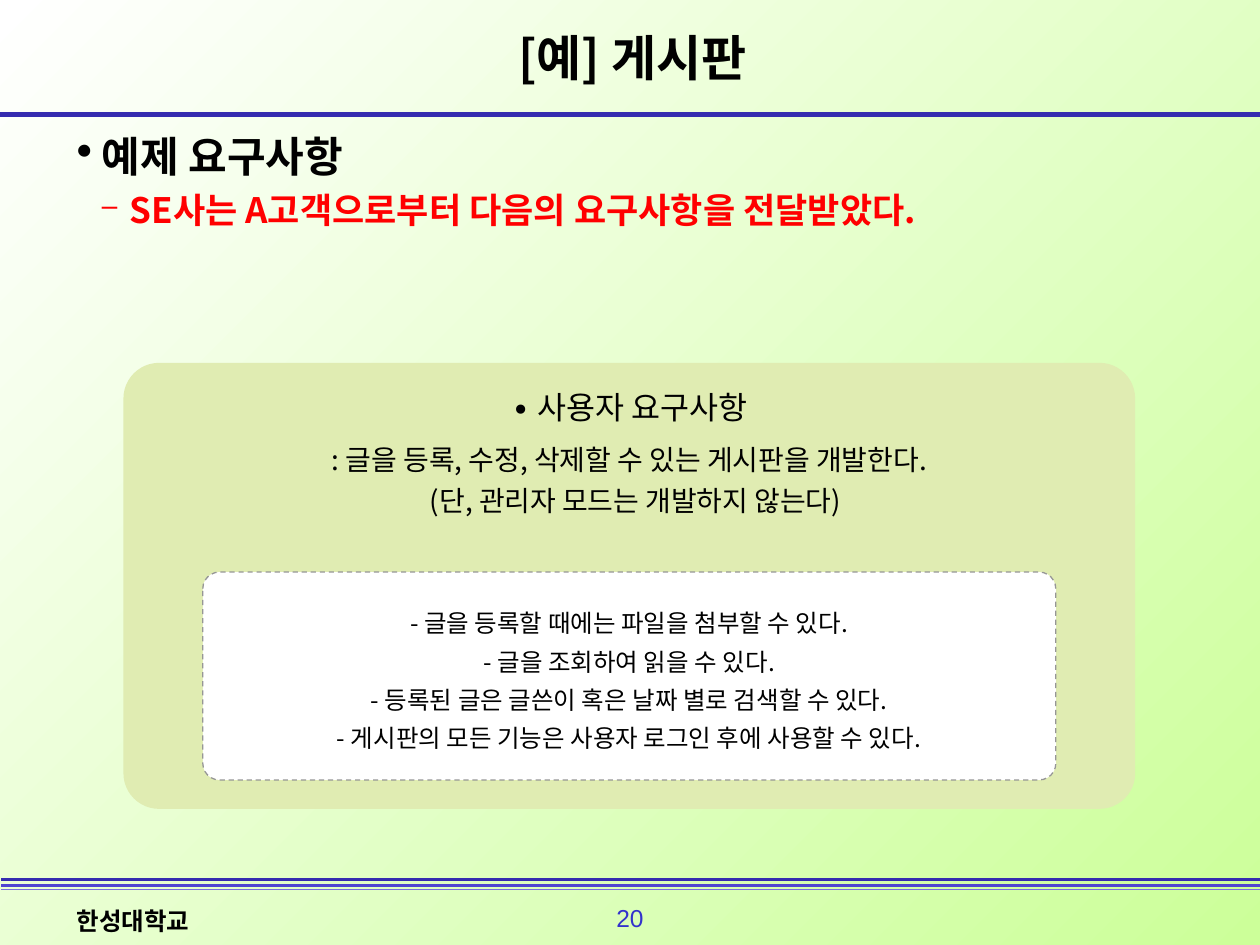
from lxml.etree import SubElement
from pptx import Presentation
from pptx.dml.color import RGBColor
from pptx.enum.dml import MSO_LINE
from pptx.enum.shapes import MSO_CONNECTOR, MSO_SHAPE
from pptx.enum.text import MSO_ANCHOR, PP_ALIGN
from pptx.oxml.ns import qn
from pptx.util import Inches, Pt

COLORS = {
    "black": "000000", "white": "FFFFFF", "red": "FF0000", "lime": "CCFF99",
    "panel": "E0ECB2", "dash": "969696", "number": "3333CC",
    "navy": "352CB0", "blue": "4F45D1", "pale": "7870DC",
}
KOREAN = "Noto Sans CJK KR"


class SlideStyle:
    def __init__(self, page):
        self.page = page

    def color(self, name):
        return RGBColor.from_string(COLORS[name])

    def background(self, start, end):
        fill = self.page.background.fill
        fill.gradient()
        fill.gradient_angle = 315
        for stop, name, position in zip(fill.gradient_stops, (start, end), (0, 1)):
            stop.color.rgb = self.color(name)
            stop.position = position

    def rule(self, left, top, right, color, width):
        line = self.page.shapes.add_connector(
            MSO_CONNECTOR.STRAIGHT, Inches(left), Inches(top), Inches(right), Inches(top))
        line.line.color.rgb = self.color(color)
        line.line.width = Pt(width)
        SubElement(line._element.spPr, qn("a:effectLst"))

    def frame(self, box, anchor=MSO_ANCHOR.TOP, side=0.1, wrap=True):
        frame = box.text_frame
        frame.word_wrap = wrap
        frame.vertical_anchor = anchor
        frame.margin_left = frame.margin_right = Inches(side)
        frame.margin_top = frame.margin_bottom = Inches(side / 2)
        return frame

    def text_box(self, left, top, width, height, **options):
        box = self.page.shapes.add_textbox(
            Inches(left), Inches(top), Inches(width), Inches(height))
        return self.frame(box, **options)

    def panel(self, left, top, width, height, fill, border=None, **options):
        box = self.page.shapes.add_shape(
            MSO_SHAPE.ROUNDED_RECTANGLE,
            Inches(left), Inches(top), Inches(width), Inches(height))
        box.shadow.inherit = False
        box.adjustments[0] = 0.08
        box.fill.solid()
        box.fill.fore_color.rgb = self.color(fill)
        if border:
            box.line.color.rgb = self.color(border)
            box.line.width = Pt(0.75)
            box.line.dash_style = MSO_LINE.DASH
        else:
            box.line.fill.background()
        return self.frame(box, side=0.12, **options)

    def paragraph(self, frame, text, size, color="black", bold=False, font=KOREAN,
                  align=PP_ALIGN.LEFT, spacing=None, before=None,
                  margin=0, hanging=0, bullet=None, bullet_size=100):
        first = frame.paragraphs[0]
        para = first if not first.runs else frame.add_paragraph()
        para.add_run().text = text
        para.alignment = align
        if spacing:
            para.line_spacing = spacing
        if before:
            para.space_before = Pt(before)
        settings = para._p.get_or_add_pPr()
        settings.set("marL", str(Inches(margin)))
        settings.set("indent", str(-Inches(hanging)))
        if bullet:
            SubElement(settings, qn("a:buSzPct")).set("val", str(bullet_size * 1000))
            SubElement(settings, qn("a:buChar")).set("char", bullet)
        para.font.size = Pt(size)
        para.font.bold = bold
        para.font.color.rgb = self.color(color)
        para.font.name = font
        # Hangul takes the East Asian typeface
        SubElement(para.font._rPr, qn("a:ea")).set("typeface", font)


def main():
    deck = Presentation()
    deck.slide_width, deck.slide_height = Inches(10), Inches(7.5)
    style = SlideStyle(deck.slides.add_slide(deck.slide_layouts[6]))
    center, middle = PP_ALIGN.CENTER, MSO_ANCHOR.MIDDLE

    # Background and rules
    style.background("white", "lime")
    style.rule(-0.04, 0.91, 10, "navy", 3)
    for top, color, width in ((7.03, "blue", 1.5), (7.06, "pale", 1), (6.98, "navy", 2.25)):
        style.rule(0.01, top, 10.01, color, width)

    # Footer
    number = style.text_box(4.78, 7.12, 0.44, 0.33, wrap=False)
    style.paragraph(number, "20", 14, "number", font="Arial", align=center)
    school = style.text_box(0.51, 7.14, 2.84, 0.33)
    style.paragraph(school, "한성대학교", 14, bold=True)

    # Title and lead text
    title = style.text_box(2.48, 0.28, 5.08, 0.35, anchor=middle)
    style.paragraph(title, "[예] 게시판", 28, bold=True, align=center)
    body = style.text_box(0.51, 0.99, 8.79, 5.68)
    style.paragraph(body, "예제 요구사항", 24, bold=True,
                    margin=0.2, hanging=0.2, bullet="•", bullet_size=110)
    style.paragraph(body, "SE사는 A고객으로부터 다음의 요구사항을 전달받았다.", 20, "red",
                    bold=True, before=4, margin=0.42, hanging=0.22,
                    bullet="–", bullet_size=80)

    # User requirements
    needs = style.panel(0.98, 2.88, 8.03, 3.54, "panel")
    for text, size, spacing, margin in (
        ("∙ 사용자 요구사항", 18, 1.2, 0),
        (": 글을 등록, 수정, 삭제할 수 있는 게시판을 개발한다.", 16, 1.5, 0),
        ("(단, 관리자 모드는 개발하지 않는다)", 16, 1.2, 0.1),
    ):
        style.paragraph(needs, text, size, align=center, spacing=spacing, margin=margin)

    # Detailed requirements
    details = style.panel(1.61, 4.54, 6.77, 1.65, "white", border="dash", anchor=middle)
    for text in (
        "- 글을 등록할 때에는 파일을 첨부할 수 있다.",
        "- 글을 조회하여 읽을 수 있다.",
        "- 등록된 글은 글쓴이 혹은 날짜 별로 검색할 수 있다.",
        "- 게시판의 모든 기능은 사용자 로그인 후에 사용할 수 있다.",
    ):
        style.paragraph(details, text, 14, align=center, spacing=1.3)

    deck.save("out.pptx")


if __name__ == "__main__":
    main()
